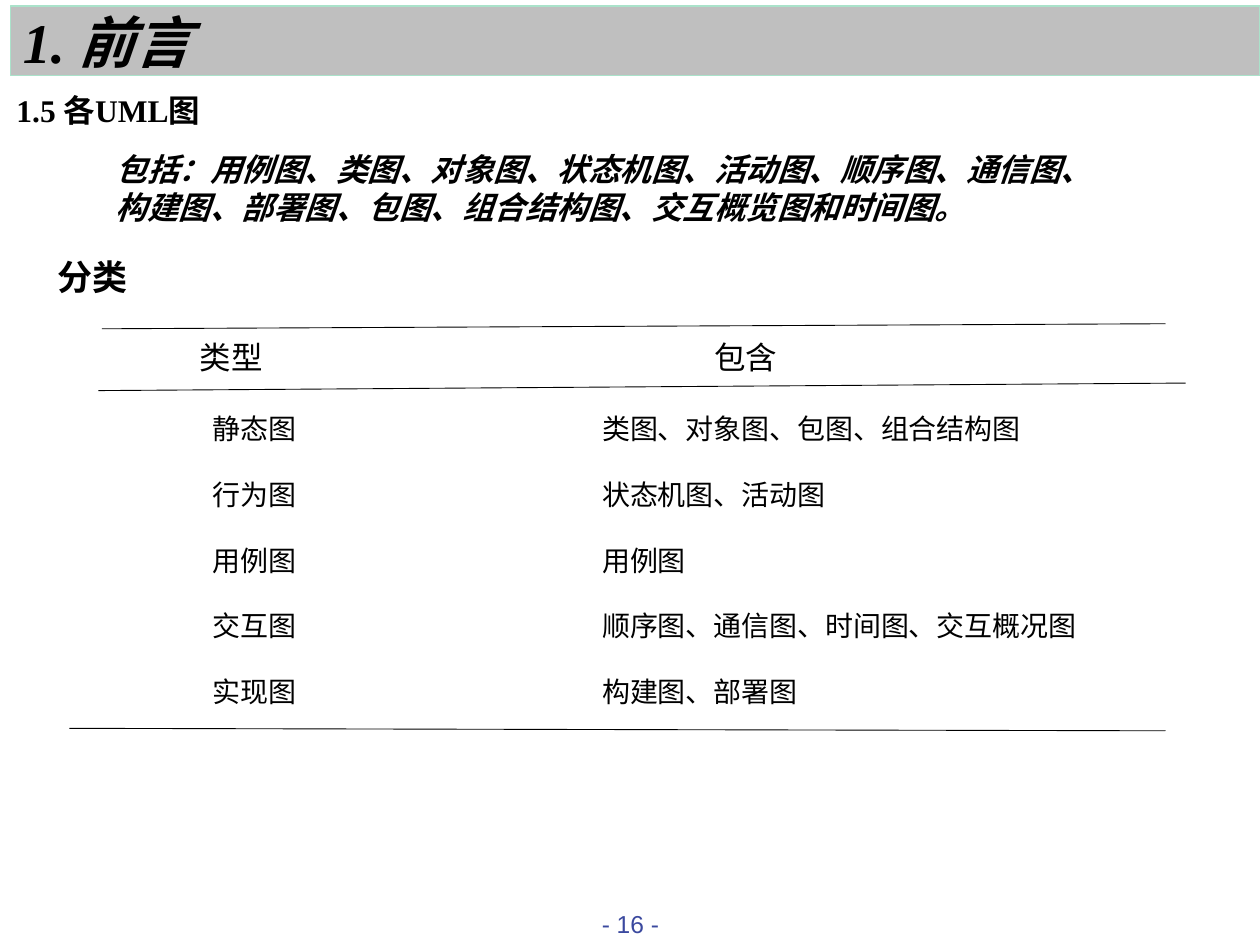
import dataclasses
import pptx
import pptx.dml.color
import pptx.enum.shapes
import pptx.enum.text
import pptx.oxml
import pptx.oxml.ns
import pptx.util

HUES = {"ink": "000000", "band": "BFBFBF", "edge": "AAE2CA", "page": "3B499F"}
SERIF = "Times New Roman"
SANS = "Arial"


@dataclasses.dataclass(frozen=True)
class Label:
    text: str
    left: float
    top: float
    width: float
    height: float
    size: float
    bold: bool = True
    slant: bool = False
    face: str = SERIF
    hue: str = "ink"
    inset: bool = True
    center: bool = False


@dataclasses.dataclass(frozen=True)
class Row:
    kind: str
    holds: str
    size: float = 16
    gap: float = 18.4
    tabs: tuple[float, float] = (72, 294.5)


@dataclasses.dataclass(frozen=True)
class Rule:
    left: float
    start: float
    right: float
    end: float


LABELS = [
    Label("- 16 -", 318.2, 516.2, 84.2, 23.8, 14, bold=False, face=SANS, hue="page", center=True),
    Label("1.5 各UML图", 9.4, 51.8, 344.9, 59.8, 18, inset=False),
    Label("包括：用例图、类图、对象图、状态机图、活动图、顺序图、通信图、"
          "构建图、部署图、包图、组合结构图、交互概览图和时间图。",
          59, 82.1, 565.2, 51.1, 18, slant=True),
    Label("分类", 25.9, 142.6, 140.4, 31.7, 20),
]
ROWS = [
    Row("类型", "包含", 18, 0, (64.5, 358.5)),
    Row("静态图", "类图、对象图、包图、组合结构图", gap=20.7),
    Row("行为图", "状态机图、活动图"),
    Row("用例图", "用例图"),
    Row("交互图", "顺序图、通信图、时间图、交互概况图"),
    Row("实现图", "构建图、部署图"),
]
RULES = [
    Rule(56.2, 223.2, 677.5, 218.9),
    Rule(58.3, 187.9, 666, 185),
    Rule(39.6, 416.2, 666, 417.6),
]


def shade(name: str) -> pptx.dml.color.RGBColor:
    return pptx.dml.color.RGBColor.from_string(HUES[name])


def scale(*sizes: float) -> list[pptx.util.Length]:
    return [pptx.util.Pt(size) for size in sizes]


def style(font, size: float, face: str = SERIF, hue: str = "ink",
          bold: bool = False, slant: bool = False) -> None:
    font.size, font.name, font.bold, font.italic = pptx.util.Pt(size), face, bold, slant
    font.color.rgb = shade(hue)


def add_box(slide, left: float, top: float, width: float, height: float):
    box = slide.shapes.add_textbox(*scale(left, top, width, height))
    box.text_frame.word_wrap = True
    return box.text_frame


def add_title(slide) -> None:
    bar = slide.shapes.add_shape(pptx.enum.shapes.MSO_SHAPE.RECTANGLE,
                                 *scale(6, 3.6, 714, 39.6))
    bar.shadow.inherit = False
    bar.fill.solid()
    bar.fill.fore_color.rgb = shade("band")
    bar.line.color.rgb = shade("edge")
    bar.line.width = pptx.util.Pt(1)
    bar.text_frame.vertical_anchor = pptx.enum.text.MSO_ANCHOR.MIDDLE
    para = bar.text_frame.paragraphs[0]
    para.alignment = pptx.enum.text.PP_ALIGN.LEFT
    for text, face in (("1. ", SERIF), ("前言", SANS)):
        run = para.add_run()
        run.text = text
        style(run.font, 32, face, bold=True, slant=True)


def add_label(slide, label: Label) -> None:
    frame = add_box(slide, label.left, label.top, label.width, label.height)
    if not label.inset:
        frame.margin_left = frame.margin_right = frame.margin_top = frame.margin_bottom = 0
    frame.text = label.text
    para = frame.paragraphs[0]
    if label.center:
        para.alignment = pptx.enum.text.PP_ALIGN.CENTER
    style(para.runs[0].font, label.size, label.face, label.hue, label.bold, label.slant)


def add_rows(slide, rows: list[Row]) -> None:
    frame = add_box(slide, 42.5, 189.4, 622.8, 227.5)
    frame.text = "\n".join(f"\t{row.kind}\t{row.holds}" for row in rows)
    space = pptx.oxml.ns.nsdecls("a")
    for para, row in zip(frame.paragraphs, rows):
        para.space_before = pptx.util.Pt(row.gap)
        style(para.runs[0].font, row.size)
        props = para._p.get_or_add_pPr()
        stops = "".join(f'<a:tab pos="{int(stop)}" algn="l"/>' for stop in scale(*row.tabs))
        props.append(pptx.oxml.parse_xml(f"<a:tabLst {space}>{stops}</a:tabLst>"))


def add_rule(slide, rule: Rule) -> None:
    line = slide.shapes.add_connector(pptx.enum.shapes.MSO_CONNECTOR.STRAIGHT,
                                      *scale(rule.left, rule.start, rule.right, rule.end))
    line.line.color.rgb = shade("ink")
    line.line.width = pptx.util.Pt(0.5)
    space = pptx.oxml.ns.nsdecls("a")
    line._element.spPr.append(pptx.oxml.parse_xml(f"<a:effectLst {space}/>"))


def main() -> None:
    """Build the slide that sorts the UML diagrams by type."""
    deck = pptx.Presentation()
    deck.slide_width, deck.slide_height = scale(720, 540)
    slide = deck.slides.add_slide(deck.slide_layouts[6])
    add_title(slide)
    for label in LABELS:
        add_label(slide, label)
    add_rows(slide, ROWS)
    for rule in RULES:
        add_rule(slide, rule)
    deck.save("out.pptx")


if __name__ == "__main__":
    main()
